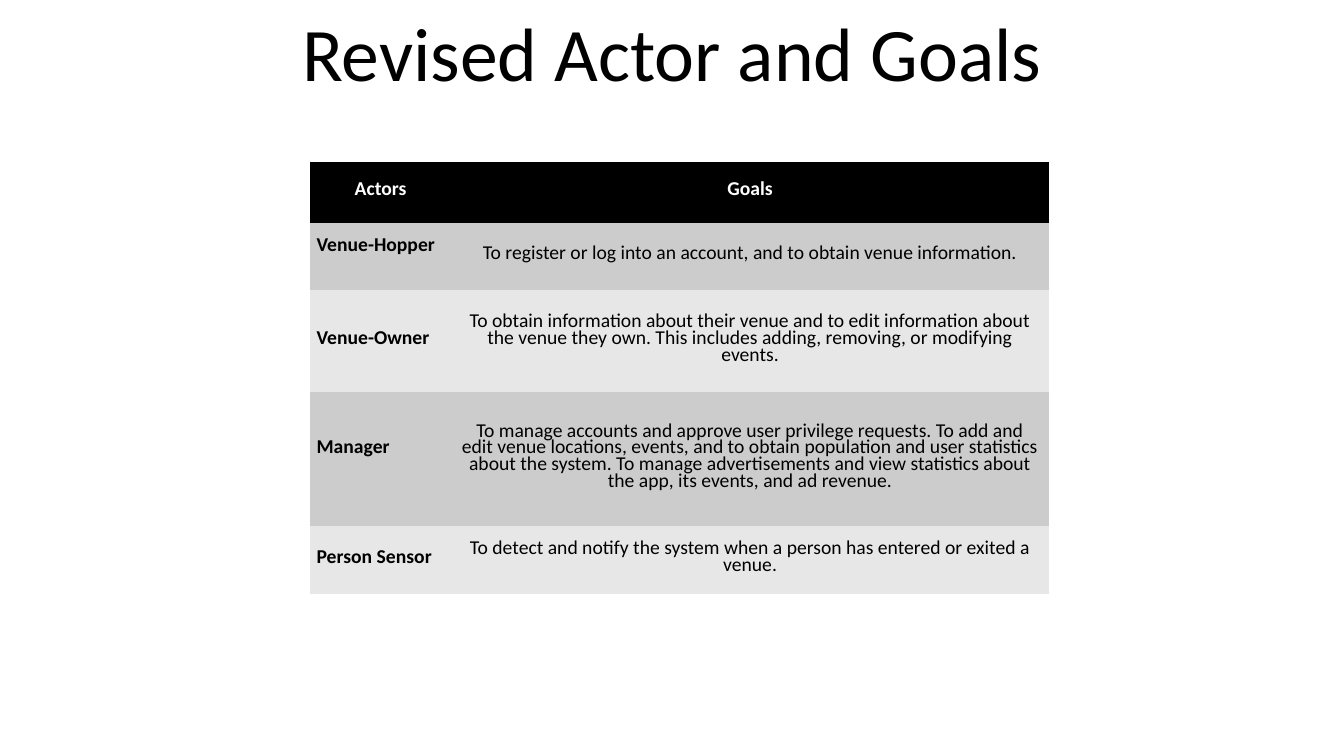
from pptx import Presentation
from pptx.dml.color import RGBColor
from pptx.enum.text import MSO_ANCHOR, PP_ALIGN
from pptx.oxml.ns import qn
from pptx.util import Inches, Pt

NO_GRID_STYLE = "{2D5ABB26-0587-4C30-8999-92F81FD0307C}"
COLUMN_WIDTHS = [1.41, 5.92]
ROW_HEIGHTS = [0.6, 0.67, 1.01, 1.33, 0.67]
# Actor, goals, and the gap in points below the actor's name
ACTORS = [
    ("Venue-Hopper",
     "To register or log into an account, and to obtain venue information.", 12),
    ("Venue-Owner",
     "To obtain information about their venue and to edit information about "
     "the venue they own. This includes adding, removing, or modifying events.", 0),
    ("Manager",
     "To manage accounts and approve user privilege requests. To add and edit "
     "venue locations, events, and to obtain population and user statistics "
     "about the system. To manage advertisements and view statistics about "
     "the app, its events, and ad revenue.", 12),
    ("Person Sensor",
     "To detect and notify the system when a person has entered or exited a venue.", 0),
]


def color(value):
    return RGBColor.from_string(value)


class SlideBuilder:
    font = "Calibri"
    black, white = "000000", "FFFFFF"
    bands = ["CCCCCC", "E7E7E7"]

    def __init__(self, presentation):
        self.slide = presentation.slides.add_slide(presentation.slide_layouts[5])

    def format(self, paragraph, size, ink, bold=False, align=PP_ALIGN.CENTER):
        paragraph.alignment = align
        paragraph.font.name = self.font
        paragraph.font.size = Pt(size)
        paragraph.font.bold = bold
        paragraph.font.color.rgb = color(ink)

    def title(self, text, left, top, width, height):
        title = self.slide.shapes.title
        title.left, title.top = Inches(left), Inches(top)
        title.width, title.height = Inches(width), Inches(height)
        frame = title.text_frame
        frame.text = text
        frame.vertical_anchor = MSO_ANCHOR.BOTTOM
        paragraph = frame.paragraphs[0]
        self.format(paragraph, 54, self.black)
        paragraph.line_spacing = 0.9

    def cell(self, cell, text, fill, ink, bold, align, gap=0):
        cell.fill.solid()
        cell.fill.fore_color.rgb = color(fill)
        cell.vertical_anchor = MSO_ANCHOR.MIDDLE
        cell.margin_left = cell.margin_right = Inches(0.07)
        cell.margin_top, cell.margin_bottom = 0, Pt(gap)
        cell.text = text
        paragraph = cell.text_frame.paragraphs[0]
        self.format(paragraph, 14, ink, bold, align)
        paragraph.line_spacing = Pt(12)

    def table(self, headings, rows, left, top):
        table = self.slide.shapes.add_table(
            len(ROW_HEIGHTS), len(COLUMN_WIDTHS), Inches(left), Inches(top),
            Inches(sum(COLUMN_WIDTHS)), Inches(sum(ROW_HEIGHTS))).table
        table.first_row = table.horz_banding = False
        table._tbl.tblPr.find(qn("a:tableStyleId")).text = NO_GRID_STYLE
        for column, width in zip(table.columns, COLUMN_WIDTHS):
            column.width = Inches(width)
        for row, height in zip(table.rows, ROW_HEIGHTS):
            row.height = Inches(height)
        for index, heading in enumerate(headings):
            self.cell(table.cell(0, index), heading, self.black, self.white,
                      True, PP_ALIGN.CENTER)
        for index, (actor, goals, gap) in enumerate(rows):
            fill = self.bands[index % 2]
            self.cell(table.cell(index + 1, 0), actor, fill, self.black,
                      True, PP_ALIGN.LEFT, gap)
            self.cell(table.cell(index + 1, 1), goals, fill, self.black,
                      False, PP_ALIGN.CENTER)


def main():
    presentation = Presentation()
    presentation.slide_width = Inches(13.33)
    presentation.slide_height = Inches(7.5)
    builder = SlideBuilder(presentation)
    builder.title("Revised Actor and Goals", 2.69, 0, 7.95, 1.02)
    builder.table(["Actors", "Goals"], ACTORS, 3.07, 1.61)
    presentation.save("out.pptx")


if __name__ == "__main__":
    main()
